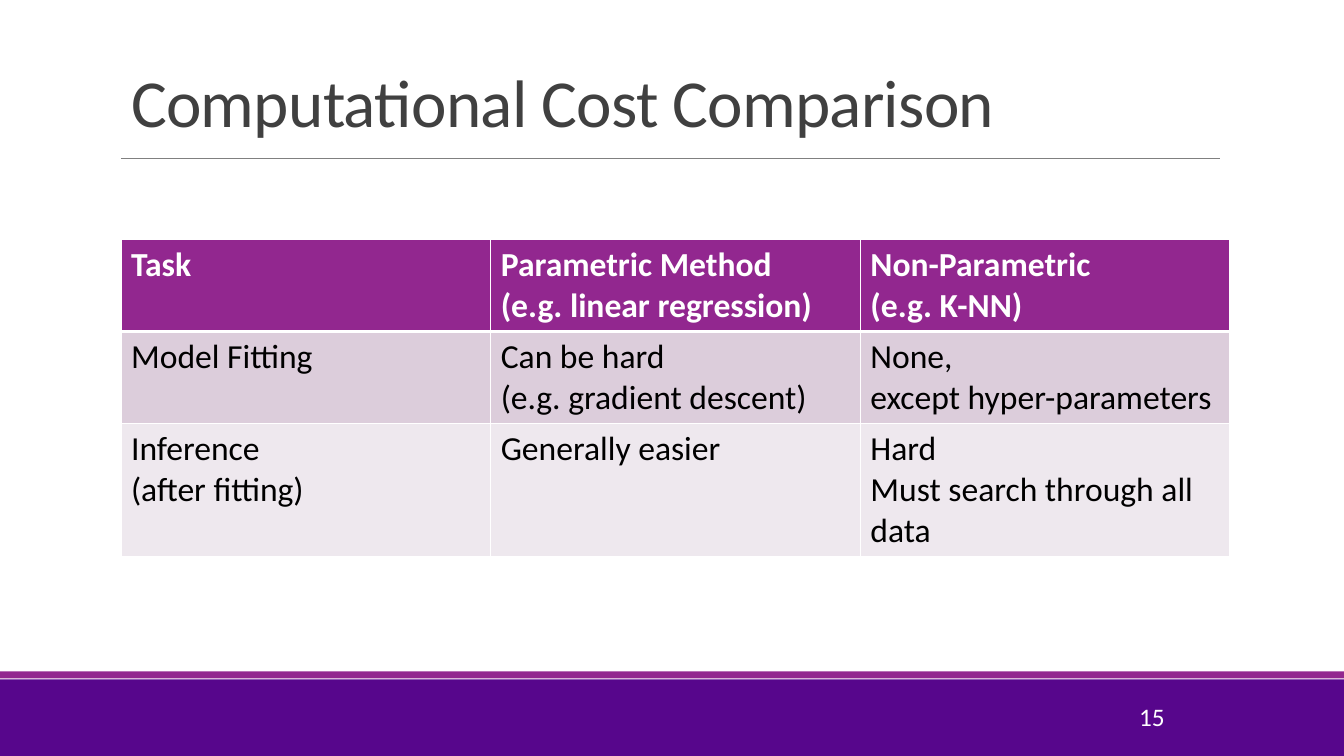
from lxml import etree
from pptx import Presentation
from pptx.dml.color import RGBColor
from pptx.enum.shapes import MSO_CONNECTOR, MSO_SHAPE
from pptx.enum.text import MSO_ANCHOR, MSO_AUTO_SIZE, PP_ALIGN
from pptx.oxml import parse_xml
from pptx.oxml.ns import nsdecls, qn
from pptx.util import Inches, Pt

RECTANGLE = MSO_SHAPE.RECTANGLE
STRAIGHT = MSO_CONNECTOR.STRAIGHT
BOTTOM, MIDDLE = MSO_ANCHOR.BOTTOM, MSO_ANCHOR.MIDDLE
LEFT, RIGHT = PP_ALIGN.LEFT, PP_ALIGN.RIGHT
NO_AUTOFIT = MSO_AUTO_SIZE.NONE

DEEP_PURPLE, MAGENTA, WHITE = "57068C", "92278F", "FFFFFF"
MARGIN, CONTENT_WIDTH = 1.2, 11


def color(value):
    return RGBColor.from_string(value)


def write(frame, text, size, text_color, bold=False, align=LEFT):
    """Fill a frame with one paragraph; newlines become line breaks."""
    para = frame.paragraphs[0]
    para.text = text
    para.alignment = align
    for span in para.runs:
        for name, value in {"name": "Calibri", "size": Pt(size), "bold": bold}.items():
            setattr(span.font, name, value)
        span.font.color.rgb = color(text_color)
    return para


deck = Presentation()
deck.slide_width, deck.slide_height = Inches(13.33), Inches(7.5)
page = deck.slides.add_slide(deck.slide_layouts[5])

# Footer bands
for top, height, fill in [(6.74, 0.76, DEEP_PURPLE), (6.66, 0.07, MAGENTA)]:
    band = page.shapes.add_shape(RECTANGLE, 0, Inches(top), deck.slide_width, Inches(height))
    band.shadow.inherit = False
    band.fill.solid()
    band.fill.fore_color.rgb = color(fill)
    band.line.fill.background()

# Title and the rule below it
title = page.shapes.title
title.left, title.top = Inches(MARGIN), Inches(0.31)
title.width, title.height = Inches(CONTENT_WIDTH), Inches(1.14)
title.text_frame.auto_size = NO_AUTOFIT
title.text_frame.vertical_anchor = BOTTOM
heading = write(title.text_frame, "Computational Cost Comparison", 48, "404040")
heading.line_spacing = 0.85
heading.runs[0].font._element.set("spc", "-50")

rule = page.shapes.add_connector(STRAIGHT, Inches(MARGIN), Inches(1.57), Inches(12.1), Inches(1.57))
rule.line.color.rgb = color("808080")
rule.line.width = Pt(0.5)
etree.SubElement(rule._element.spPr, qn("a:effectLst"))

# Slide number
number_box = page.shapes.add_textbox(Inches(10.22), Inches(6.91), Inches(1.43), Inches(0.4))
number_box.text_frame.word_wrap = True
number_box.text_frame.vertical_anchor = MIDDLE
write(number_box.text_frame, "15", 18, WHITE, align=RIGHT)

# Comparison table
rows = [
    ["Task", "Parametric Method\n(e.g. linear regression)", "Non-Parametric\n(e.g. K-NN)"],
    ["Model Fitting", "Can be hard\n(e.g. gradient descent)", "None, \nexcept hyper-parameters"],
    ["Inference\n(after fitting)", "Generally easier", "Hard\nMust search through all data"],
]
row_fills = [MAGENTA, "DCCDDB", "EEE8EE"]
row_heights = [0.91, 0.91, 1.32]

table = page.shapes.add_table(
    len(rows), len(rows[0]), Inches(MARGIN), Inches(2.38),
    Inches(CONTENT_WIDTH), Inches(sum(row_heights)),
).table
for row, height in zip(table.rows, row_heights):
    row.height = Inches(height)

for row_index, (texts, fill) in enumerate(zip(rows, row_fills)):
    is_header = row_index == 0
    for column_index, text in enumerate(texts):
        cell = table.cell(row_index, column_index)
        write(cell.text_frame, text, 24, WHITE if is_header else "000000", is_header)
        borders = {"L": 1, "R": 1, "T": 3 if row_index == 1 else 1, "B": 3 if is_header else 1}
        cell_format = cell._tc.get_or_add_tcPr()
        for side, points in borders.items():
            cell_format.append(parse_xml(
                f'<a:ln{side} {nsdecls("a")} w="{Pt(points)}"><a:solidFill>'
                f'<a:srgbClr val="{WHITE}"/></a:solidFill></a:ln{side}>'
            ))
        cell.fill.solid()
        cell.fill.fore_color.rgb = color(fill)

deck.save("out.pptx")
